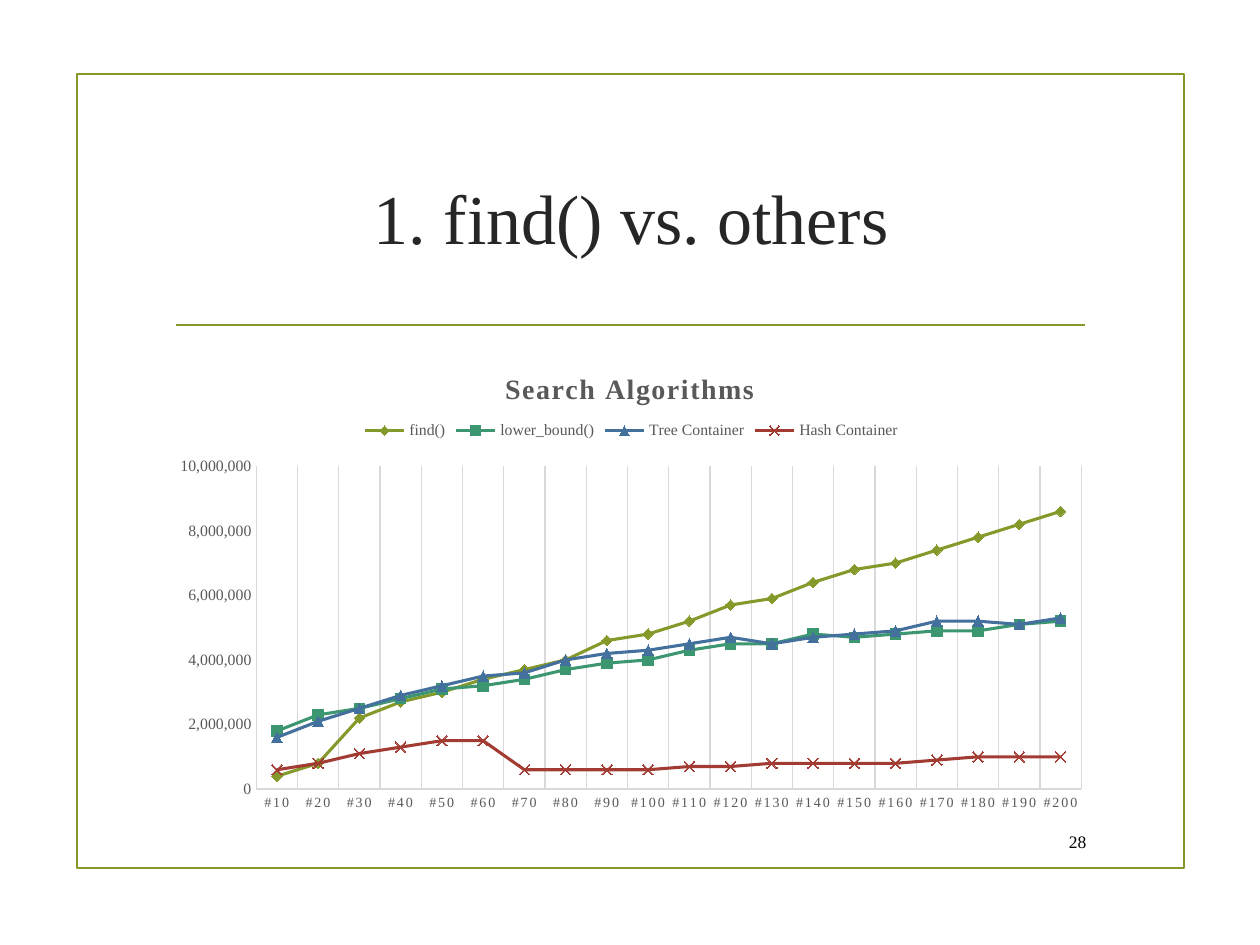
from lxml import etree
from pptx import Presentation
from pptx import util as u
from pptx.chart.data import CategoryChartData
from pptx.dml.color import RGBColor
from pptx.enum import chart as ch, shapes, text
from pptx.oxml import parse_xml
from pptx.oxml.ns import nsdecls, qn

FONT = "Times New Roman"
OLIVE = RGBColor(0x83, 0x99, 0x2A)
GREEN = RGBColor(0x3C, 0x97, 0x70)
BLUE = RGBColor(0x44, 0x70, 0x9D)
RED = RGBColor(0xA2, 0x3C, 0x33)
INK = RGBColor(0x26, 0x26, 0x26)
GREY = RGBColor(0x59, 0x59, 0x59)
PALE = RGBColor(0xD9, 0xD9, 0xD9)
BLACK = RGBColor(0, 0, 0)

UNIT = 100_000
MARK = ch.XL_MARKER_STYLE
SERIES = [  # name, colour, marker, values in UNIT
    ("find()", OLIVE, MARK.DIAMOND,
     [4, 8, 22, 27, 30, 34, 37, 40, 46, 48, 52, 57, 59, 64, 68, 70, 74, 78, 82, 86]),
    ("lower_bound()", GREEN, MARK.SQUARE,
     [18, 23, 25, 28, 31, 32, 34, 37, 39, 40, 43, 45, 45, 48, 47, 48, 49, 49, 51, 52]),
    ("Tree Container", BLUE, MARK.TRIANGLE,
     [16, 21, 25, 29, 32, 35, 36, 40, 42, 43, 45, 47, 45, 47, 48, 49, 52, 52, 51, 53]),
    ("Hash Container", RED, MARK.X,
     [6, 8, 11, 13, 15, 15, 6, 6, 6, 6, 7, 7, 8, 8, 8, 8, 9, 10, 10, 10]),
]


def set_font(font, size, color, bold=False):
    font.name, font.size, font.bold = FONT, u.Pt(size), bold
    font.color.rgb = color


def set_line(line, color, width):
    line.color.rgb = color
    line.width = u.Pt(width)


def add_text(s, box, words, size, color=BLACK, align=text.PP_ALIGN.LEFT):
    tf = s.shapes.add_textbox(*map(u.Inches, box)).text_frame
    tf.word_wrap = True
    tf.vertical_anchor = text.MSO_ANCHOR.MIDDLE
    p = tf.paragraphs[0]
    p.alignment = align
    r = p.add_run()
    r.text = words
    set_font(r.font, size, color)


def add_frame(s, box):
    """Outlined border with the rule that separates title and chart."""
    x, y, w, h = box
    sp = s.shapes.add_shape(shapes.MSO_SHAPE.RECTANGLE, *map(u.Inches, box))
    sp.shadow.inherit = False
    sp.fill.background()
    set_line(sp.line, OLIVE, 1.25)
    rule_y = u.Inches(y + 1.99)
    rule = s.shapes.add_connector(shapes.MSO_CONNECTOR.STRAIGHT, u.Inches(x + 0.79),
                                  rule_y, u.Inches(x + w - 0.79), rule_y)
    set_line(rule.line, OLIVE, 1.25)
    etree.SubElement(rule._element.spPr, qn("a:effectLst"))


def set_layout(el, x, y, w=None, h=None, inner=False):
    """Place a chart part by fractions of the chart's size."""
    for old in el.findall(qn("c:layout")):
        el.remove(old)
    modes = '<c:layoutTarget val="inner"/>' if inner else ""
    modes += '<c:xMode val="edge"/><c:yMode val="edge"/>'
    sizes = "".join(f'<c:{k} val="{v}"/>' for k, v in zip("xywh", (x, y, w, h))
                    if v is not None)
    layout = parse_xml(f'<c:layout {nsdecls("c")}><c:manualLayout>{modes}{sizes}'
                       '</c:manualLayout></c:layout>')
    overlay = el.find(qn("c:overlay"))
    el.insert(0 if overlay is None else el.index(overlay), layout)


def style_axis(axis, size):
    axis.major_tick_mark = axis.minor_tick_mark = ch.XL_TICK_MARK.NONE
    set_font(axis.tick_labels.font, size, GREY)
    set_line(axis.format.line, PALE, 0.75)


def style_series(series, color, style):
    series.smooth = False
    set_line(series.format.line, color, 1.75)
    marker = series.marker
    marker.style, marker.size = style, 6
    set_line(marker.format.line, color, 0.75)
    if style == MARK.X:
        marker.format.fill.background()
    else:
        marker.format.fill.solid()
        marker.format.fill.fore_color.rgb = color


def add_search_chart(s, box):
    data = CategoryChartData(number_format="#,##0")
    data.categories = [f"#{n}" for n in range(10, 201, 10)]
    for name, _, _, values in SERIES:
        data.add_series(name, [v * UNIT for v in values])
    chart = s.shapes.add_chart(ch.XL_CHART_TYPE.LINE_MARKERS,
                               *map(u.Inches, box), data).chart
    set_font(chart.font, 10, BLACK)
    chart.plots[0].vary_by_categories = False
    for series, (_, color, style, _) in zip(chart.plots[0].series, SERIES):
        style_series(series, color, style)

    cat, val = chart.category_axis, chart.value_axis
    style_axis(cat, 8)
    style_axis(val, 9)
    cat.has_major_gridlines = True
    set_line(cat.major_gridlines.format.line, PALE, 0.75)
    val.has_major_gridlines = False
    val.minimum_scale, val.maximum_scale, val.major_unit = 0, 10_000_000, 2_000_000
    val.tick_labels.number_format = "#,##0"
    val.tick_labels.number_format_is_linked = False

    chart.has_title = True
    r = chart.chart_title.text_frame.paragraphs[0].add_run()
    r.text = "Search Algorithms"
    set_font(r.font, 16, GREY, bold=True)
    chart.has_legend = True
    chart.legend.position = ch.XL_LEGEND_POSITION.TOP
    chart.legend.include_in_layout = False
    set_font(chart.legend.font, 9, GREY)

    root = chart.element
    for rpr in root.xpath(".//c:title//a:rPr") + root.xpath(".//c:catAx//a:defRPr"):
        rpr.set("spc", "100")
    set_layout(root.find(".//" + qn("c:title")), 0.36, 0.05)
    set_layout(root.find(".//" + qn("c:legend")), 0.21, 0.16, 0.58, 0.05)
    set_layout(root.find(".//" + qn("c:plotArea")), 0.1, 0.26, 0.88, 0.68, inner=True)


def main():
    prs = Presentation()
    prs.slide_width, prs.slide_height = u.Inches(10), u.Inches(7.5)
    s = prs.slides.add_slide(prs.slide_layouts[6])
    add_frame(s, (0.61, 0.59, 8.79, 6.3))
    add_text(s, (1.29, 1, 7.44, 1.43), "1. find() vs. others", 40, INK,
             text.PP_ALIGN.CENTER)
    add_search_chart(s, (1.29, 2.72, 7.44, 3.77))
    add_text(s, (8.29, 6.52, 0.43, 0.31), "28", 10, align=text.PP_ALIGN.RIGHT)
    prs.save("out.pptx")


if __name__ == "__main__":
    main()
